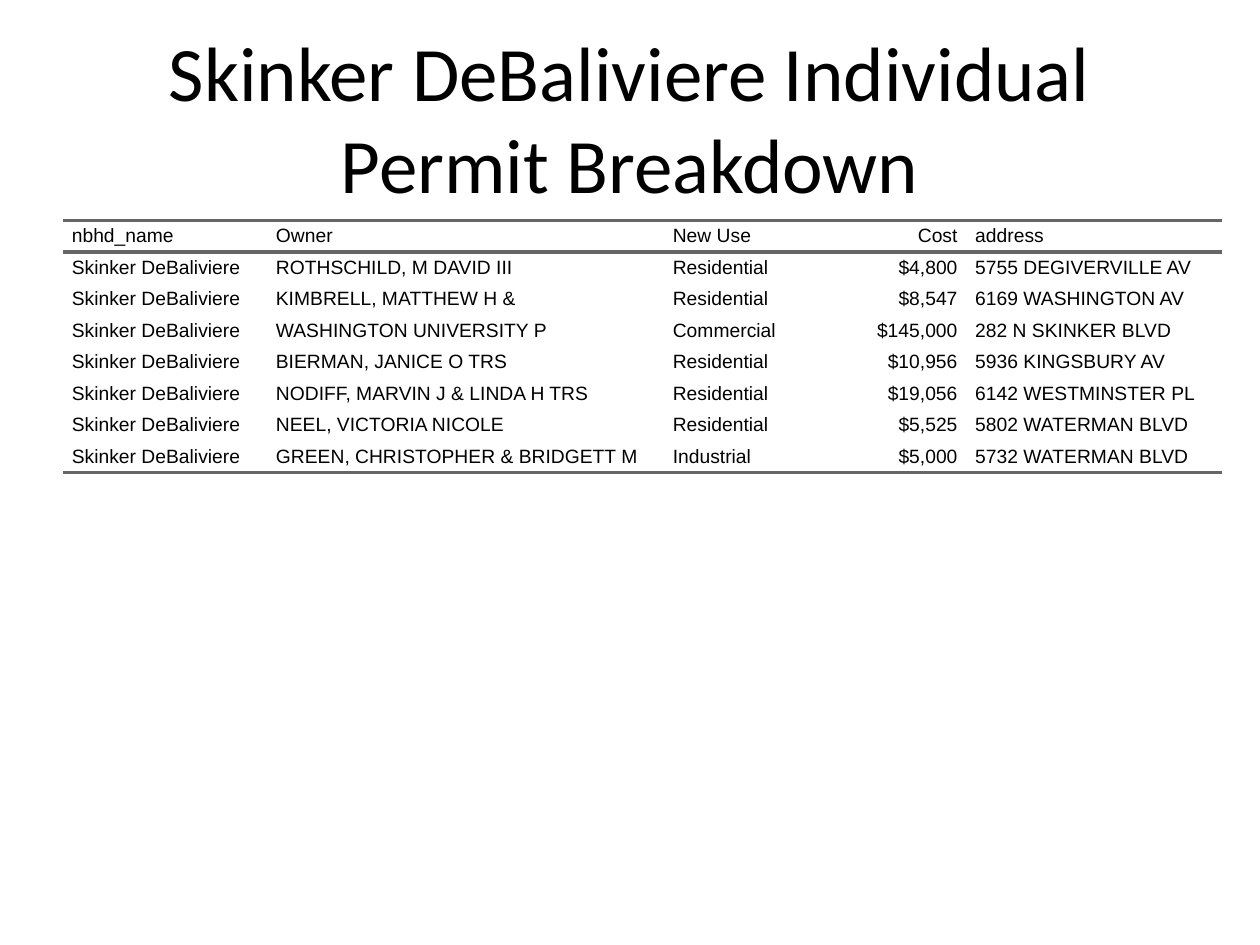
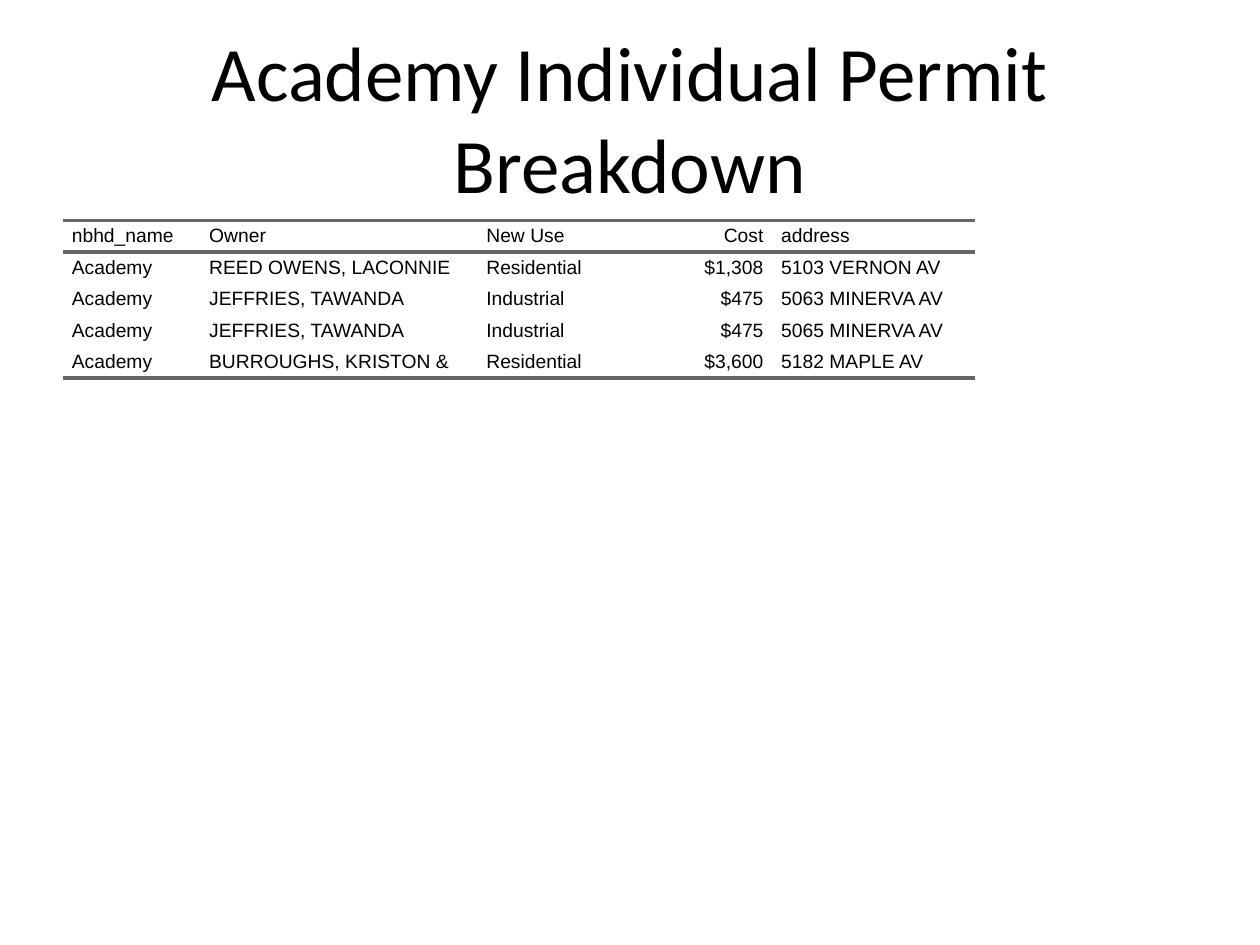
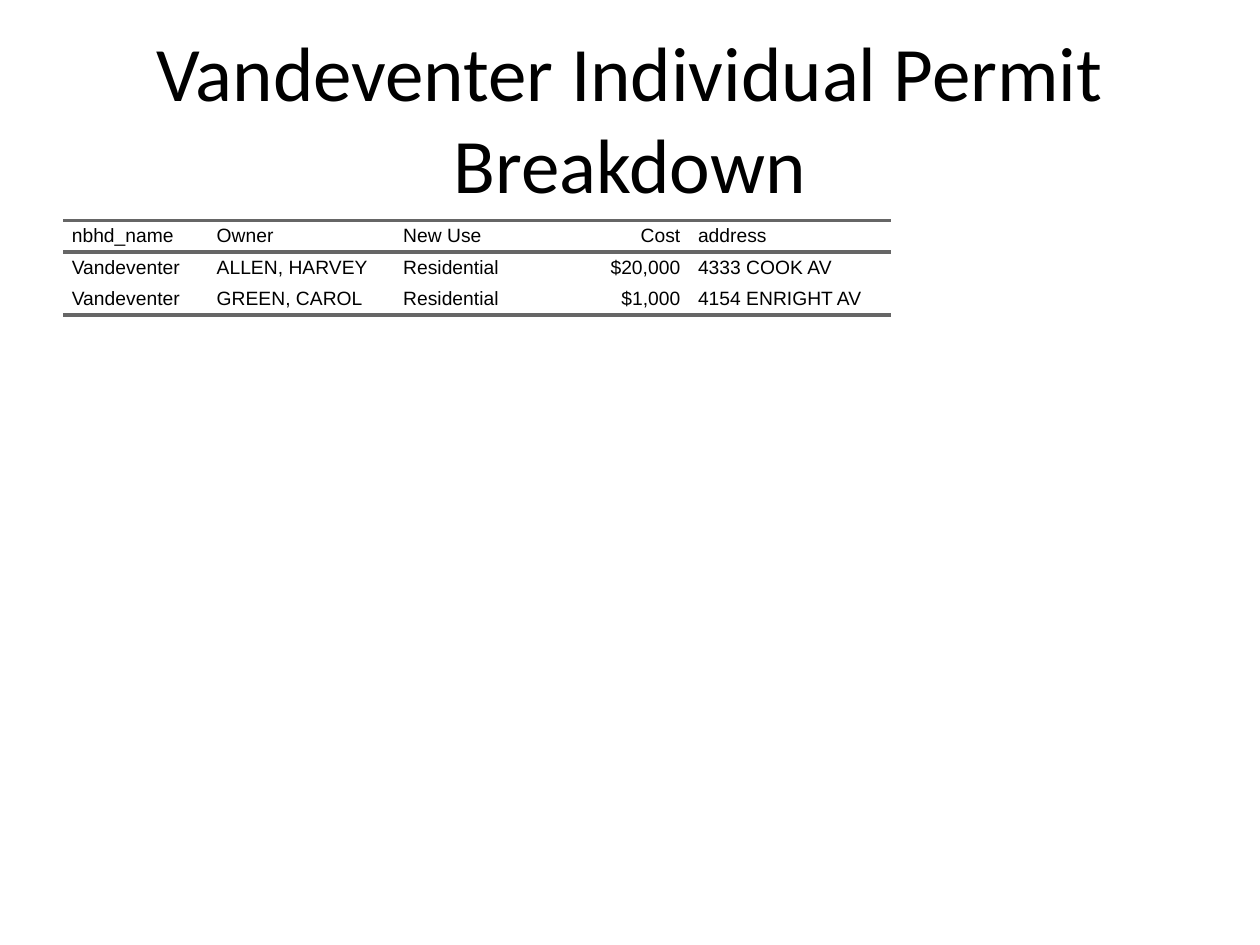
from dataclasses import dataclass

import pptx
import pptx.util
import pptx.dml.color
import pptx.enum.text
import pptx.oxml
import pptx.oxml.ns

Inches, Pt = pptx.util.Inches, pptx.util.Pt
PP_ALIGN = pptx.enum.text.PP_ALIGN
MIDDLE = pptx.enum.text.MSO_ANCHOR.MIDDLE


@dataclass(frozen=True)
class Theme:
    ink: str = "000000"
    rule: str = "666666"
    rule_width: int = 2
    title_font: str = "Calibri"
    title_size: int = 44
    table_font: str = "Arial"
    table_size: int = 11
    plain_table: str = "{2D5ABB26-0587-4C30-8999-92F81FD0307C}"


THEME = Theme()
WIDTH, HEIGHT = 10, 7.5
MARGIN = WIDTH * 0.05
CONTENT_WIDTH = WIDTH - 2 * MARGIN
TITLE_TOP, TITLE_HEIGHT = HEIGHT * 0.04, 1.25
TABLE_TOP, TABLE_HEIGHT = 1.75, HEIGHT * 0.66
ROW_HEIGHT = 0.25
CELL_INDENT = 0.07

HEADER = ("nbhd_name", "Owner", "New Use", "Cost", "address")
COST_COLUMN = HEADER.index("Cost")

# Neighborhood, column widths, permits (owner, new use, cost, address)
NEIGHBORHOODS = [
    ("Skinker DeBaliviere", (1.62, 3.15, 1.1, 1.3, 2.03), [
        ("ROTHSCHILD, M DAVID III", "Residential", "$4,800", "5755 DEGIVERVILLE AV"),
        ("KIMBRELL, MATTHEW H &", "Residential", "$8,547", "6169 WASHINGTON AV"),
        ("WASHINGTON UNIVERSITY P", "Commercial", "$145,000", "282 N SKINKER BLVD"),
        ("BIERMAN, JANICE O TRS", "Residential", "$10,956", "5936 KINGSBURY AV"),
        ("NODIFF, MARVIN J & LINDA H TRS", "Residential", "$19,056", "6142 WESTMINSTER PL"),
        ("NEEL, VICTORIA NICOLE", "Residential", "$5,525", "5802 WATERMAN BLVD"),
        ("GREEN, CHRISTOPHER & BRIDGETT M", "Industrial", "$5,000", "5732 WATERMAN BLVD"),
    ]),
    ("Academy", (1.09, 2.2, 1.04, 1.3, 1.61), [
        ("REED OWENS, LACONNIE", "Residential", "$1,308", "5103 VERNON AV"),
        ("JEFFRIES, TAWANDA", "Industrial", "$475", "5063 MINERVA AV"),
        ("JEFFRIES, TAWANDA", "Industrial", "$475", "5065 MINERVA AV"),
        ("BURROUGHS, KRISTON &", "Residential", "$3,600", "5182 MAPLE AV"),
    ]),
    ("Vandeventer", (1.15, 1.48, 1.04, 1.3, 1.6), [
        ("ALLEN, HARVEY", "Residential", "$20,000", "4333 COOK AV"),
        ("GREEN, CAROL", "Residential", "$1,000", "4154 ENRIGHT AV"),
    ]),
]


def write(tf, text, *, font, size, align, indent=0, after=0):
    p = tf.paragraphs[0]
    p.alignment = align
    p.space_after = Pt(after)
    if indent:
        pPr = p._p.get_or_add_pPr()
        pPr.set("marL", str(Inches(indent)))
        pPr.set("marR", str(Inches(indent)))
    r = p.add_run()
    r.text = text
    r.font.name = font
    r.font.size = Pt(size)
    r.font.color.rgb = pptx.dml.color.RGBColor.from_string(THEME.ink)


def add_rule(cell, edge):
    """Draw a border on one edge of a cell: lnT or lnB."""
    cell._tc.get_or_add_tcPr().append(pptx.oxml.parse_xml(
        f'<a:{edge} {pptx.oxml.ns.nsdecls("a")} w="{Pt(THEME.rule_width)}">'
        f'<a:solidFill><a:srgbClr val="{THEME.rule}"/></a:solidFill></a:{edge}>'))


prs = pptx.Presentation()
prs.slide_width, prs.slide_height = Inches(WIDTH), Inches(HEIGHT)
title_only = prs.slide_layouts.get_by_name("Title Only")

for neighborhood, widths, permits in NEIGHBORHOODS:
    s = prs.slides.add_slide(title_only)
    title = s.shapes.title
    title.left, title.top = Inches(MARGIN), Inches(TITLE_TOP)
    title.width, title.height = Inches(CONTENT_WIDTH), Inches(TITLE_HEIGHT)
    title.text_frame.auto_size = pptx.enum.text.MSO_AUTO_SIZE.NONE
    title.text_frame.vertical_anchor = MIDDLE
    write(title.text_frame, f"{neighborhood} Individual Permit Breakdown",
          font=THEME.title_font, size=THEME.title_size, align=PP_ALIGN.CENTER)

    rows = [HEADER] + [(neighborhood, *permit) for permit in permits]
    frame = s.shapes.add_table(len(rows), len(HEADER), Inches(MARGIN), Inches(TABLE_TOP),
                               Inches(CONTENT_WIDTH), Inches(TABLE_HEIGHT))
    table = frame.table
    table.first_row = table.horz_banding = False
    style = table._tbl.tblPr.find(pptx.oxml.ns.qn("a:tableStyleId"))
    style.text = THEME.plain_table
    for column, width in zip(table.columns, widths):
        column.width = Inches(width)

    for i, values in enumerate(rows):
        table.rows[i].height = Inches(ROW_HEIGHT)
        for j, value in enumerate(values):
            cell = table.cell(i, j)
            cell.margin_left = cell.margin_right = cell.margin_top = cell.margin_bottom = 0
            cell.vertical_anchor = MIDDLE
            if i == 0:
                add_rule(cell, "lnT")
            if i in (0, len(rows) - 1):
                add_rule(cell, "lnB")
            cell.fill.background()
            write(cell.text_frame, value, font=THEME.table_font, size=THEME.table_size,
                  align=PP_ALIGN.RIGHT if j == COST_COLUMN else PP_ALIGN.LEFT,
                  indent=CELL_INDENT, after=5)
    frame.width, frame.height = Inches(CONTENT_WIDTH), Inches(TABLE_HEIGHT)

prs.save("out.pptx")
